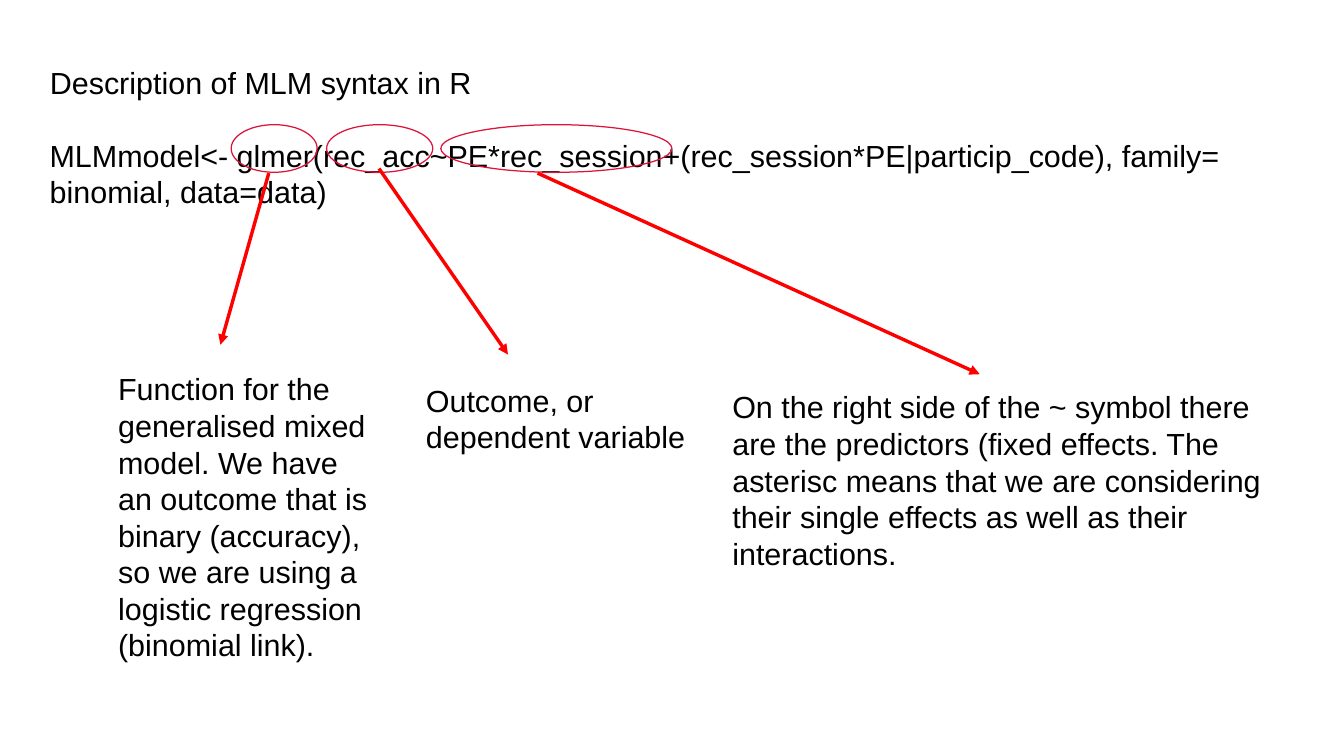
from lxml import etree
from pptx import Presentation
from pptx.dml.color import RGBColor
from pptx.enum.shapes import MSO_CONNECTOR, MSO_SHAPE
from pptx.enum.text import MSO_ANCHOR, MSO_AUTO_SIZE, PP_ALIGN
from pptx.oxml.ns import qn
from pptx.util import Inches, Pt

OVAL = MSO_SHAPE.OVAL
STRAIGHT = MSO_CONNECTOR.STRAIGHT
WIDE, HIGH = Inches(11.02), Inches(6.2)
COLORS = {"text": "000000", "ring": "DC143C", "arrow": "FF0000"}
FRAME = {"word_wrap": True, "auto_size": MSO_AUTO_SIZE.NONE,
         "vertical_anchor": MSO_ANCHOR.TOP}
FONT = {"name": "Arial", "size": Pt(18), "bold": False}
PLACES = ("left", "top", "width", "height")

TITLE = "Description of MLM syntax in R"
MODEL = ("MLMmodel<- glmer(rec_acc~PE*rec_session+"
         "(rec_session*PE|particip_code), family= binomial, data=data)")
RING_TOP, RING_HIGH = 16.5, 6.3
TERMS = [
    {"ring": (17.2, 6.4), "arrow": (20, 22.9, 16.4, 45.6),
     "box": (7.9, 48.2, 20.7, 37.7),
     "note": "Function for the generalised mixed model. We have an outcome "
             "that is binary (accuracy), so we are using a logistic "
             "regression (binomial link)."},
    {"ring": (24.3, 7.9), "arrow": (28.2, 22.3, 37.8, 46.9),
     "box": (30.8, 49.7, 22.1, 15.2),
     "note": "Outcome, or dependent variable"},
    {"ring": (32.8, 17.2), "arrow": (40, 22.9, 72.9, 49.5),
     "box": (53.6, 50.6, 43.6, 49.4),
     "note": "On the right side of the ~ symbol there are the predictors "
             "(fixed effects. The asterisc means that we are considering "
             "their single effects as well as their interactions."},
]


def scale(box):
    """Turn percentages of the slide, across and down in turn, into lengths."""
    return [round(part * side / 100) for part, side in zip(box, (WIDE, HIGH) * 2)]


def apply(thing, format):
    """Set each attribute named in the format."""
    for name, value in format.items():
        setattr(thing, name, value)


def color(name):
    """Return the named colour."""
    return RGBColor.from_string(COLORS[name])


def write(shape, text):
    """Fill a text shape with one left-aligned paragraph."""
    frame = shape.text_frame
    apply(frame, FRAME)
    frame.text = text
    para = frame.paragraphs[0]
    para.alignment = PP_ALIGN.LEFT
    font = para.runs[0].font
    apply(font, FONT)
    font.color.rgb = color("text")


def add_title(slide, text, box):
    """Place and fill the title."""
    title = slide.shapes.title
    apply(title, dict(zip(PLACES, scale(box))))
    write(title, text)


def add_note(slide, text, box):
    """Add a text box."""
    write(slide.shapes.add_textbox(*scale(box)), text)


def draw_line(line, name):
    """Give a line its colour and hairline width."""
    line.color.rgb = color(name)
    line.width = Pt(0)


def add_ring(slide, left, width):
    """Circle one term of the model."""
    ring = slide.shapes.add_shape(
        OVAL, *scale((left, RING_TOP, width, RING_HIGH)))
    ring.shadow.inherit = False
    ring.fill.background()
    draw_line(ring.line, "ring")


def add_arrow(slide, ends):
    """Point from a term to its note."""
    arrow = slide.shapes.add_connector(STRAIGHT, *scale(ends))
    draw_line(arrow.line, "arrow")
    tail = etree.SubElement(arrow.line._get_or_add_ln(), qn("a:tailEnd"))
    tail.set("type", "triangle")
    etree.SubElement(arrow._element.spPr, qn("a:effectLst"))


def main():
    """Build and save the slide."""
    deck = Presentation()
    apply(deck, {"slide_width": WIDE, "slide_height": HIGH})
    slide = deck.slides.add_slide(deck.slide_layouts[5])
    add_title(slide, TITLE, (2.8, 7.6, 94.3, 6.5))
    add_note(slide, MODEL, (2.8, 17.3, 94.3, 10.5))
    for term in TERMS:
        add_ring(slide, *term["ring"])
        add_arrow(slide, term["arrow"])
        add_note(slide, term["note"], term["box"])
    deck.save("out.pptx")


if __name__ == "__main__":
    main()
